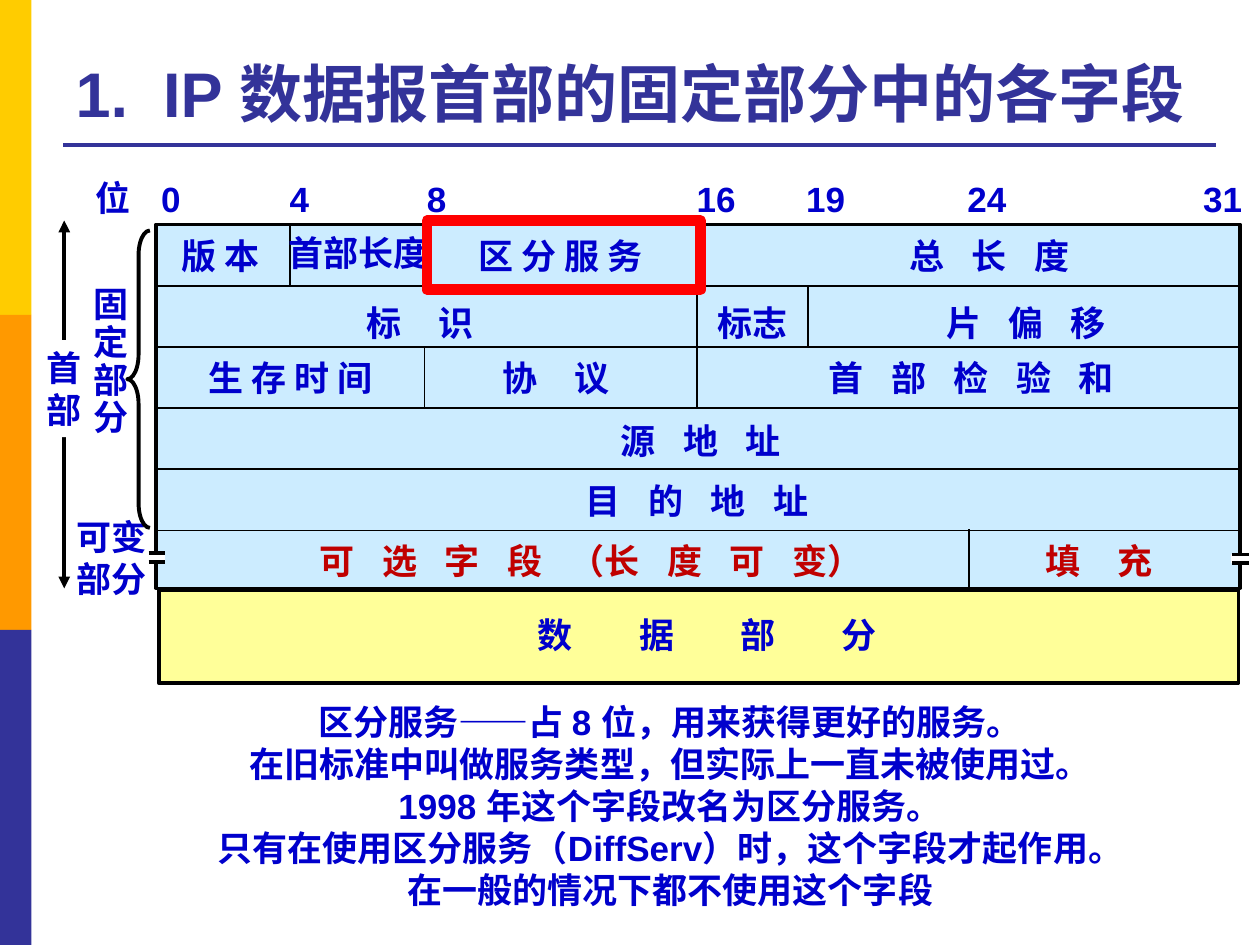
from typing import NamedTuple, Sequence

from lxml import etree
from pptx import Presentation
from pptx import util as u
from pptx.dml.color import RGBColor
from pptx.enum import shapes, text
from pptx.oxml import ns

BLUE, NAVY, RED, BLACK, WHITE = "0000CC", "333399", "C00000", "000000", "FFFFFF"
SPACE = 5.56  # width of one 20 pt space, in points
LEFT, RIGHT = 1.24, 9.85
ROW_TOP, ROW_H = 2.27, 0.485


class Label(NamedTuple):
    text: str
    x: float
    y: float
    w: float
    spaces: int = 1  # width of each gap, in spaces
    color: str = BLUE


class Block(NamedTuple):
    x: float
    y: float
    w: float
    h: float
    fill: str | None
    line: str | None = None
    weight: float = 0
    kind: int = shapes.MSO_SHAPE.RECTANGLE


def rgb(value: str) -> RGBColor:
    return RGBColor.from_string(value)


def set_font(p, size: float, color: str) -> None:
    p.font.name = "Arial"
    p.font.size = u.Pt(size)
    p.font.bold = True
    p.font.color.rgb = rgb(color)


def add_words(p, words: Sequence[str], extra: float) -> None:
    """Write words parted by one space each, widened by extra points."""
    for i, word in enumerate(words):
        if i:
            gap = p.add_run()
            gap.text = " "
            gap._r.get_or_add_rPr().set("spc", str(round(extra * 100)))
        p.add_run().text = word


def add_block(s, b: Block):
    sp = s.shapes.add_shape(b.kind, *map(u.Inches, (b.x, b.y, b.w, b.h)))
    sp.shadow.inherit = False
    if b.fill:
        sp.fill.solid()
        sp.fill.fore_color.rgb = rgb(b.fill)
    else:
        sp.fill.background()
    if b.line:
        sp.line.color.rgb = rgb(b.line)
        sp.line.width = u.Pt(b.weight)
    else:
        sp.line.fill.background()
    return sp


def add_line(s, x1: float, y1: float, x2: float, y2: float,
             weight: float = 1, color: str = BLACK, arrows: bool = False) -> None:
    c = s.shapes.add_connector(shapes.MSO_CONNECTOR.STRAIGHT,
                               *map(u.Inches, (x1, y1, x2, y2)))
    c.line.color.rgb = rgb(color)
    c.line.width = u.Pt(weight)
    if arrows:
        for end in ("a:headEnd", "a:tailEnd"):
            etree.SubElement(c.line._get_or_add_ln(), ns.qn(end), type="triangle")
    etree.SubElement(c._element.spPr, ns.qn("a:effectLst"))


def add_label(s, label: Label) -> None:
    sp = s.shapes.add_textbox(*map(u.Inches, (label.x, label.y, label.w, 0.43)))
    tf = sp.text_frame
    tf.word_wrap = False
    p = tf.paragraphs[0]
    add_words(p, label.text.split(" "), (label.spaces - 1) * SPACE)
    set_font(p, 20, label.color)


def add_lines(sp, lines: Sequence[str], wrap: bool = False,
              align=text.PP_ALIGN.LEFT, spacing: float = 1.0) -> None:
    tf = sp.text_frame
    tf.word_wrap = wrap
    tf.vertical_anchor = text.MSO_ANCHOR.TOP
    for i, line in enumerate(lines):
        p = tf.add_paragraph() if i else tf.paragraphs[0]
        p.text = line
        p.alignment = align
        p.line_spacing = spacing
        set_font(p, 20, BLUE)


def add_break(s, x: float, y: float) -> None:
    """Mark a border as cut by two short strokes."""
    add_block(s, Block(x, y, 0.14, 0.07, WHITE))
    for dy in (0, 0.07):
        add_line(s, x + 0.01, y + dy, x + 0.14, y + dy, 2)


BITS = [Label(bit, x, 1.36, 0.36 if len(bit) == 1 else 0.51) for bit, x in (
    ("0", 1.18), ("4", 2.2), ("8", 3.29), ("16", 5.43),
    ("19", 6.3), ("24", 7.58), ("31", 9.45))]

FIELDS = [
    Label("位", 0.66, 1.35, 0.48),
    Label("版 本", 1.34, 1.81, 0.84),
    Label("首部长度", 2.19, 1.79, 1.33),
    Label("区 分 服 务", 3.7, 1.81, 1.56),
    Label("总 长 度", 7.12, 1.81, 1.51, 3),
    Label("标 识", 2.81, 2.34, 1.07, 4),
    Label("标志", 5.6, 2.34, 0.76),
    Label("片 偏 移", 7.41, 2.34, 1.51, 3),
    Label("生 存 时 间", 1.56, 2.78, 1.56),
    Label("协 议", 3.89, 2.78, 1.07, 4),
    Label("首 部 检 验 和", 6.48, 2.78, 2.54, 3),
    Label("源 地 址", 4.83, 3.28, 1.51, 3),
    Label("目 的 地 址", 4.55, 3.76, 2.02, 3),
    Label("可 选 字 段 （长 度 可 变）", 2.44, 4.23, 4.56, 3, RED),
    Label("填 充", 8.2, 4.23, 1.07, 4, RED),
    Label("数 据 部 分", 4.17, 4.82, 2.94, 7),
]

# Column borders: x, top, bottom
DIVIDERS = [(2.3, 1.79, 2.27), (3.37, 1.79, 2.27), (3.37, 2.76, 3.24),
            (5.53, 1.79, 3.24), (6.41, 2.28, 2.75), (7.69, 4.2, 4.68)]

NOTES = ["区分服务——占 8 位，用来获得更好的服务。",
         "在旧标准中叫做服务类型，但实际上一直未被使用过。",
         "1998 年这个字段改名为区分服务。",
         "只有在使用区分服务（DiffServ）时，这个字段才起作用。",
         "在一般的情况下都不使用这个字段"]


def main() -> None:
    prs = Presentation()
    prs.slide_width, prs.slide_height = u.Inches(10), u.Inches(7.5)
    s = prs.slides.add_slide(prs.slide_layouts[5])

    # Side bars and title
    for i, color in enumerate(("FFCC00", "FF9900", NAVY)):
        add_block(s, Block(0, 2.5 * i, 0.25, 2.5, color))
    add_line(s, 0.5, 1.15, 9.65, 1.15, 2.25, NAVY)
    title = s.shapes.title
    title.left, title.top, title.width, title.height = map(
        u.Inches, (0.5, 0.21, 9.15, 0.87))
    tf = title.text_frame
    tf.auto_size = text.MSO_AUTO_SIZE.NONE
    tf.vertical_anchor = text.MSO_ANCHOR.BOTTOM
    p = tf.paragraphs[0]
    p.alignment = text.PP_ALIGN.LEFT
    add_words(p, ["1.", "IP 数据报首部的固定部分中的各字段"], 10)
    set_font(p, 36, NAVY)

    # Header and data blocks with their grid
    add_block(s, Block(LEFT, 1.78, 8.6, 2.89, "CCECFF", BLACK, 2))
    add_block(s, Block(1.26, 4.68, 8.57, 0.74, "FFFF99", BLACK, 2.25))
    for row in range(5):
        y = ROW_TOP + row * ROW_H
        add_line(s, LEFT, y, RIGHT, y)
    for x, top, bottom in DIVIDERS:
        add_line(s, x, top, x, bottom)
    for label in BITS + FIELDS:
        add_label(s, label)
    add_break(s, 1.17, 4.39)
    add_break(s, 9.77, 4.4)

    # Extent of the header and its two parts
    add_line(s, 0.51, 1.75, 0.51, 4.67, 2.25, arrows=True)
    add_lines(add_block(s, Block(0.27, 2.7, 0.48, 0.77, WHITE)), "首部")
    fixed = s.shapes.add_textbox(*map(u.Inches, (0.64, 2.23, 0.48, 1.31)))
    add_lines(fixed, "固定部分", spacing=0.9)
    variable = s.shapes.add_textbox(*map(u.Inches, (0.51, 4.04, 0.76, 0.77)))
    add_lines(variable, ["可变", "部分"])
    brace = add_block(s, Block(1.01, 1.83, 0.18, 2.36, None, BLACK, 2.25,
                               shapes.MSO_SHAPE.LEFT_BRACE))
    brace.adjustments[0] = 1.08

    # Highlighted field and its explanation
    add_block(s, Block(3.39, 1.75, 2.17, 0.55, None, "FF0000", 6))
    notes = s.shapes.add_textbox(*map(u.Inches, (1.46, 5.51, 7.72, 1.78)))
    add_lines(notes, NOTES, wrap=True, align=text.PP_ALIGN.CENTER)

    prs.save("out.pptx")


if __name__ == "__main__":
    main()
